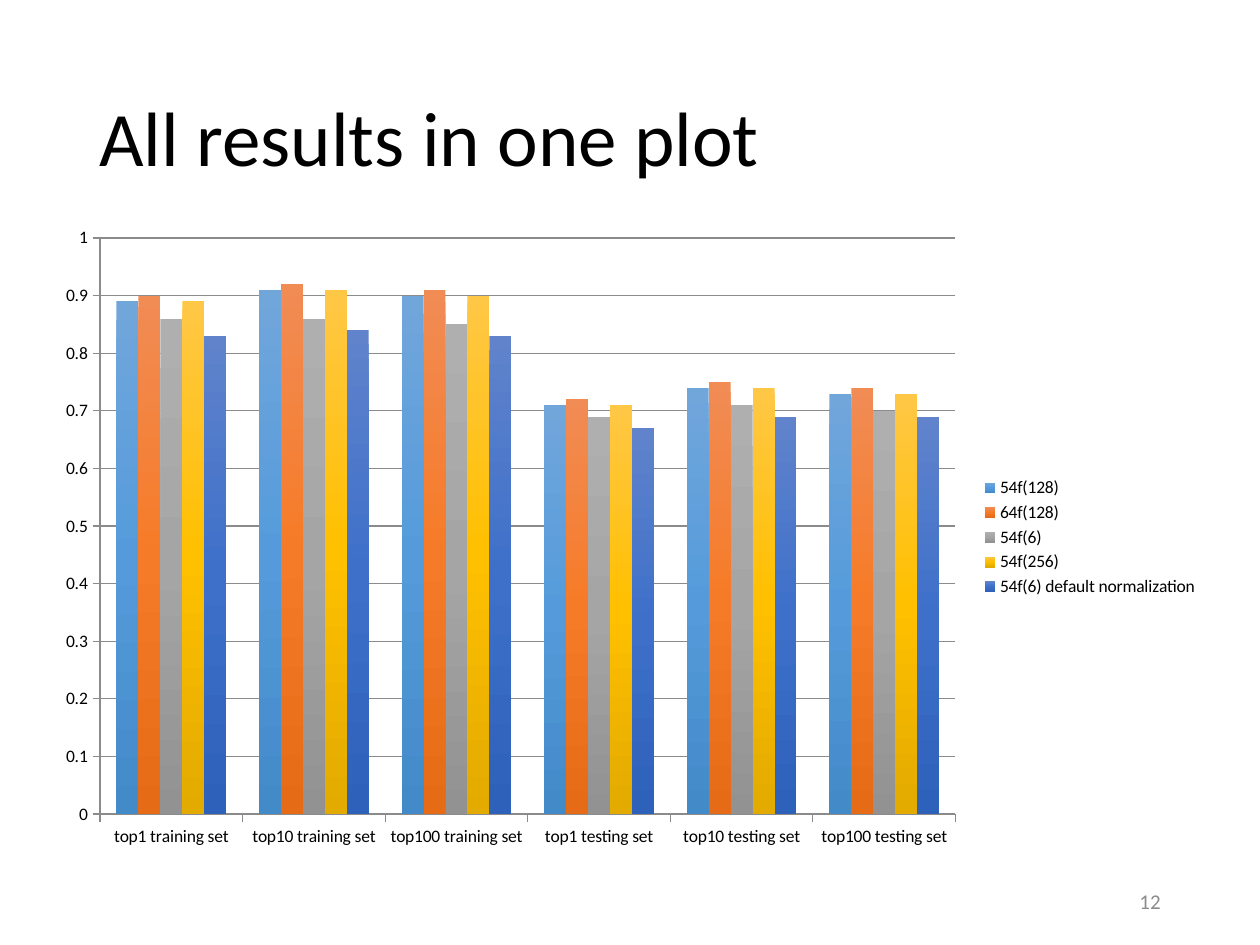
"""Build the slide that shows all results in one clustered column chart."""
from copy import deepcopy

from pptx import Presentation, util as u
from pptx.chart import data
from pptx.dml.color import RGBColor
from pptx.enum import chart as ch, text

COLOURS = {"ink": "000000", "muted": "8C8C8C", "grid": "8B8B8B"}
SETS = [f"top{n} {part} set" for part in ("training", "testing") for n in (1, 10, 100)]
RESULTS = {
    "54f(128)": ((0.89, 0.91, 0.9, 0.71, 0.74, 0.73), ("71A6DB", "559BDB", "438AC9")),
    "64f(128)": ((0.9, 0.92, 0.91, 0.72, 0.75, 0.74), ("F18C55", "F67B28", "E56B17")),
    "54f(6)": ((0.86, 0.86, 0.85, 0.69, 0.71, 0.7), ("AFAFAF", "A5A5A5", "929292")),
    "54f(256)": ((0.89, 0.91, 0.9, 0.71, 0.74, 0.73), ("FFC746", "FFC000", "E3AA00")),
    "54f(6) default normalization": (
        (0.83, 0.84, 0.83, 0.67, 0.69, 0.69), ("6083CB", "3E70CA", "2E61BA")),
}


def apply(target, values):
    for name, value in values.items():
        setattr(target, name, value)


class SlideBuilder:
    """Holds the style and the current slide."""

    font = "Calibri"

    def __init__(self, deck):
        self.slide = deck.slides.add_slide(deck.slide_layouts[5])

    def box(self, left, top, width, height):
        return [u.Cm(length) for length in (left, top, width, height)]

    def style_font(self, font, size, colour):
        apply(font, {"name": self.font, "size": u.Pt(size), "bold": False})
        font.color.rgb = RGBColor.from_string(COLOURS[colour])

    def set_text(self, holder, wording, size, colour, align, spacing=1.0):
        frame = holder.text_frame
        apply(frame, {"text": wording, "word_wrap": True,
                      "auto_size": text.MSO_AUTO_SIZE.NONE,
                      "vertical_anchor": text.MSO_ANCHOR.MIDDLE})
        paragraph = frame.paragraphs[0]
        apply(paragraph, {"alignment": align, "line_spacing": spacing})
        self.style_font(paragraph.runs[0].font, size, colour)

    def title(self, wording, *place):
        heading = self.slide.shapes.title
        apply(heading, dict(zip(("left", "top", "width", "height"), self.box(*place))))
        self.set_text(heading, wording, 44, "ink", text.PP_ALIGN.LEFT, 0.9)

    def page_number(self, wording, *place):
        number = self.slide.shapes.add_textbox(*self.box(*place))
        self.set_text(number, wording, 12, "muted", text.PP_ALIGN.RIGHT)

    def shade(self, series, shades):
        fill = series.format.fill
        fill.gradient()
        fill.gradient_angle = 270
        first = series._element.xpath(".//a:gs")[0]
        first.addnext(deepcopy(first))
        for stop, position, shade in zip(fill.gradient_stops, (0, 0.5, 1), shades):
            stop.position = position
            stop.color.rgb = RGBColor.from_string(shade)

    def style_axis(self, axis):
        apply(axis, {"major_tick_mark": ch.XL_TICK_MARK.OUTSIDE,
                     "minor_tick_mark": ch.XL_TICK_MARK.NONE})
        lines = [axis.format.line]
        if axis.has_major_gridlines:
            lines.append(axis.major_gridlines.format.line)
        for line in lines:
            line.color.rgb = RGBColor.from_string(COLOURS["grid"])
            line.width = u.Pt(0.75)

    def columns(self, categories, results, *place):
        table = data.CategoryChartData(number_format="General")
        table.categories = categories
        for name, (values, _) in results.items():
            table.add_series(name, values)
        plot_frame = self.slide.shapes.add_chart(
            ch.XL_CHART_TYPE.COLUMN_CLUSTERED, *self.box(*place), table)
        chart = plot_frame.chart
        self.style_font(chart.font, 10, "ink")
        apply(chart, {"has_title": False, "has_legend": True})
        apply(chart.legend, {"position": ch.XL_LEGEND_POSITION.RIGHT,
                             "include_in_layout": False})
        apply(chart.value_axis, {"minimum_scale": 0, "maximum_scale": 1,
                                 "major_unit": 0.1, "has_major_gridlines": True})
        for axis in (chart.category_axis, chart.value_axis):
            self.style_axis(axis)
        bars = chart.plots[0]
        apply(bars, {"gap_width": 150, "overlap": 0, "vary_by_categories": False})
        for series, (_, shades) in zip(bars.series, results.values()):
            self.shade(series, shades)


def main():
    deck = Presentation()
    apply(deck, {"slide_width": u.Cm(25.4), "slide_height": u.Cm(19.05)})
    page = SlideBuilder(deck)
    page.title("All results in one plot", 1.75, 1.01, 21.9, 3.68)
    page.page_number("12", 17.94, 17.66, 5.71, 1.01)
    page.columns(SETS, RESULTS, 0.86, 4.34, 23.55, 12.98)
    deck.save("out.pptx")


if __name__ == "__main__":
    main()
